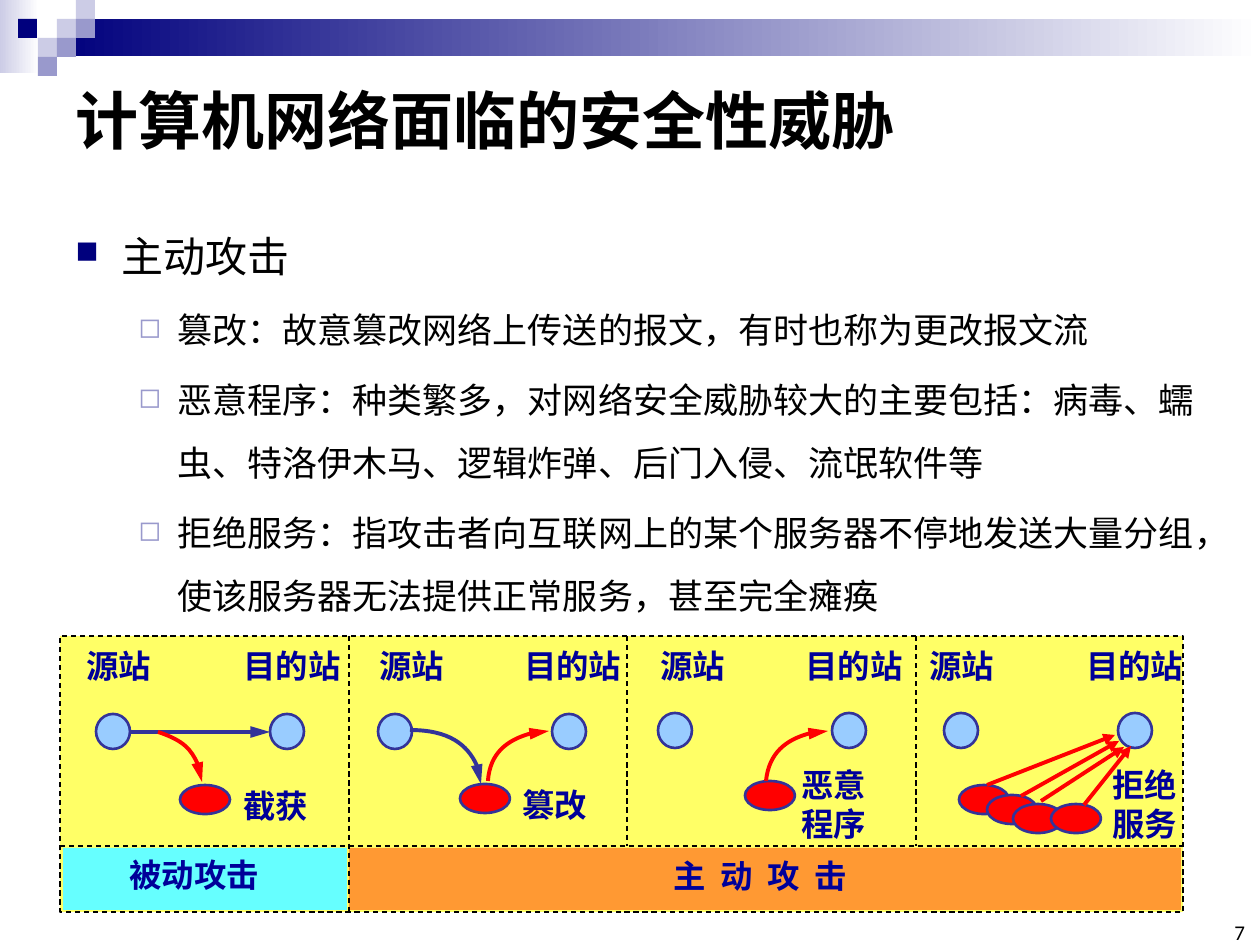
from dataclasses import dataclass

import pptx
import pptx.dml.color
import pptx.enum.dml
import pptx.enum.shapes
import pptx.enum.text
import pptx.oxml
import pptx.oxml.ns
import pptx.util

PX_PER_INCH = 126
FONT = "Calibri"
NAVY, LILAC, PALE = "00007D", "9999CC", "CCCCE6"
RED, INDIGO, LABEL_BLUE = "FF0000", "333399", "000099"
SHAPE = pptx.enum.shapes.MSO_SHAPE
ANCHOR = pptx.enum.text.MSO_ANCHOR
HOST_SIZE, ATTACKER_SIZE = (34, 35), (50, 29)

Point = tuple[int, int]


@dataclass
class Attack:
    """One panel: two hosts, their labels, the attackers and a caption."""
    host: Point
    label_lefts: Point
    attackers: list[Point]
    caption: list[str]
    caption_at: Point


@dataclass
class Arrow:
    points: list[Point]
    color: str = RED
    head_length: str = "lg"


ATTACKS = [
    Attack((96, 714), (74, 231), [(180, 785)], ["截获"], (231, 780)),
    Attack((378, 714), (367, 512), [(460, 784)], ["篡改"], (510, 779)),
    Attack((658, 713), (648, 793), [(745, 781)], ["恶意", "程序"], (789, 759)),
    Attack((944, 713), (917, 1074), [(959, 785), (987, 795), (1013, 804), (1051, 804)],
           ["拒绝", "服务"], (1100, 759)),
]
STRAIGHT_ARROWS = [
    Arrow([(130, 732), (270, 732)], INDIGO),
    Arrow([(987, 785), (1115, 735)], head_length="med"),
    Arrow([(1021, 796), (1119, 741)], head_length="med"),
    Arrow([(1041, 801), (1124, 747)], head_length="med"),
    Arrow([(1084, 805), (1131, 746)], head_length="med"),
]
CURVED_ARROWS = [
    Arrow([(158, 732), (185, 741), (202, 761), (202, 782)]),
    Arrow([(410, 730), (449, 730), (481, 753), (481, 784)], INDIGO),
    Arrow([(488, 781), (490, 753), (517, 731), (549, 731)]),
    Arrow([(766, 781), (769, 753), (795, 731), (828, 731)]),
]
BODY = [
    (0, "主动攻击"),
    (1, "篡改：故意篡改网络上传送的报文，有时也称为更改报文流"),
    (1, "恶意程序：种类繁多，对网络安全威胁较大的主要包括：病毒、蠕虫、特洛伊木马、逻辑炸弹、后门入侵、流氓软件等"),
    (1, "拒绝服务：指攻击者向互联网上的某个服务器不停地发送大量分组，使该服务器无法提供正常服务，甚至完全瘫痪"),
]
# size, space before, left margin px, hanging px, bullet, bullet colour, bullet percent
BODY_LEVELS = [(24, 5, 46, 46, "■", NAVY, 75), (20, 4, 102, 39, "◻", LILAC, 80)]


def px(length: int) -> int:
    return round(length * pptx.util.Inches(1) / PX_PER_INCH)


def rgb(color: str) -> pptx.dml.color.RGBColor:
    return pptx.dml.color.RGBColor.from_string(color)


def xml(tag: str, **attributes: str):
    element = pptx.oxml.parse_xml(f"<{tag} {pptx.oxml.ns.nsdecls('a')}/>")
    for name, value in attributes.items():
        element.set(name, value)
    return element


def add_run(paragraph, text: str, size: float, color: str = "000000", bold: bool = False) -> None:
    run = paragraph.add_run()
    run.text = text
    run.font.name, run.font.size, run.font.bold = FONT, pptx.util.Pt(size), bold
    run.font.color.rgb = rgb(color)


def style_line(line, color: str, width: float, dashed: bool = False) -> None:
    line.color.rgb = rgb(color)
    line.width = pptx.util.Pt(width)
    if dashed:
        line.dash_style = pptx.enum.dml.MSO_LINE.DASH


def add_block(slide, kind, at: Point, size: Point, fill: str, fade_to: str = ""):
    """Add a shape without outline, filled flat or fading left to right."""
    block = slide.shapes.add_shape(kind, *map(px, at + size))
    block.shadow.inherit = False
    block.line.fill.background()
    if fade_to:
        block.fill.gradient()
        block.fill.gradient_angle = 0
        for stop, color, position in zip(block.fill.gradient_stops, (fill, fade_to), (0, 1)):
            stop.color.rgb, stop.position = rgb(color), position
    else:
        block.fill.solid()
        block.fill.fore_color.rgb = rgb(fill)
    return block


def add_node(slide, at: Point, size: Point, fill: str) -> None:
    style_line(add_block(slide, SHAPE.OVAL, at, size, fill).line, INDIGO, 1.5)


def add_label(slide, lines: list[str], at: Point, size: Point) -> None:
    frame = slide.shapes.add_textbox(*map(px, at + size)).text_frame
    frame.word_wrap = False
    frame.auto_size = pptx.enum.text.MSO_AUTO_SIZE.SHAPE_TO_FIT_TEXT
    for index, line in enumerate(lines):
        paragraph = frame.add_paragraph() if index else frame.paragraphs[0]
        add_run(paragraph, line, 18.5, LABEL_BLUE, bold=True)


def add_line(slide, start: Point, end: Point):
    line = slide.shapes.add_connector(pptx.enum.shapes.MSO_CONNECTOR.STRAIGHT,
                                      *map(px, start + end))
    line._element.spPr.append(xml("a:effectLst"))
    return line


def add_divider(slide, start: Point, end: Point) -> None:
    style_line(add_line(slide, start, end).line, "000000", 0.75, dashed=True)


def add_curve(slide, points: list[Point]):
    """Add an open cubic curve through a start, two control points and an end."""
    builder = slide.shapes.build_freeform(*map(px, points[0]))
    builder.add_line_segments([tuple(map(px, point)) for point in points[1:]], close=False)
    curve = builder.convert_to_shape()
    curve.shadow.inherit = False
    curve.fill.background()
    segments = curve._element.findall(".//" + pptx.oxml.ns.qn("a:lnTo"))
    cubic = xml("a:cubicBezTo")
    segments[0].addprevious(cubic)
    for segment in segments:
        cubic.append(segment[0])
        segment.getparent().remove(segment)
    return curve


def finish_arrow(shape, arrow: Arrow) -> None:
    style_line(shape.line, arrow.color, 2.25)
    shape.line._get_or_add_ln().append(
        xml("a:tailEnd", type="triangle", w="med", len=arrow.head_length))


def add_banner(slide) -> None:
    add_block(slide, SHAPE.RECTANGLE, (0, 0), (39, 73), PALE, "FFFFFF")
    add_block(slide, SHAPE.RECTANGLE, (57, 19), (1203, 37), NAVY, "FFFFFF")
    for left, top, color in [(57, 19, PALE), (76, 0, PALE), (76, 19, LILAC), (38, 38, PALE),
                             (18, 19, NAVY), (57, 38, LILAC), (38, 57, LILAC)]:
        add_block(slide, SHAPE.RECTANGLE, (left, top), (19, 19), color)


def add_title(slide) -> None:
    title = slide.shapes.title
    title.left, title.top, title.width, title.height = map(px, (63, 63, 1134, 112))
    title.text_frame.vertical_anchor = ANCHOR.MIDDLE
    paragraph = title.text_frame.paragraphs[0]
    paragraph.alignment = pptx.enum.text.PP_ALIGN.LEFT
    add_run(paragraph, "计算机网络面临的安全性威胁", 36, bold=True)


def add_body(slide) -> None:
    frame = slide.shapes.add_textbox(*map(px, (63, 199, 1153, 416))).text_frame
    frame.word_wrap = True
    for index, (level, text) in enumerate(BODY):
        size, before, margin, hanging, bullet, color, percent = BODY_LEVELS[level]
        paragraph = frame.add_paragraph() if index else frame.paragraphs[0]
        paragraph.level, paragraph.line_spacing = level, 1.5
        paragraph.space_before = pptx.util.Pt(before)
        properties = paragraph._p.get_or_add_pPr()
        properties.set("marL", str(px(margin)))
        properties.set("indent", str(-px(hanging)))
        bullet_color = xml("a:buClr")
        bullet_color.append(xml("a:srgbClr", val=color))
        properties.extend([bullet_color, xml("a:buSzPct", val=str(percent * 1000)),
                           xml("a:buChar", char=bullet)])
        add_run(paragraph, text, size)


def add_diagram(slide) -> None:
    board = add_block(slide, SHAPE.RECTANGLE, (60, 636), (1123, 276), "FFFF66")
    style_line(board.line, "000000", 0.75, dashed=True)
    add_block(slide, SHAPE.RECTANGLE, (349, 848), (832, 62), "FF9933")
    add_block(slide, SHAPE.RECTANGLE, (63, 848), (284, 62), "66FFFF")
    for x, bottom in [(349, 912), (627, 846), (916, 846)]:
        add_divider(slide, (x, 636), (x, bottom))
    add_divider(slide, (60, 846), (1183, 846))
    add_label(slide, ["被动攻击"], (117, 849), (156, 52))
    add_label(slide, ["主  动  攻  击"], (661, 850), (200, 52))
    for attack in ATTACKS:
        left, top = attack.host
        for host_left in (left, left + 174):
            add_node(slide, (host_left, top), HOST_SIZE, "99CCFF")
        for name, label_left, width in zip(("源站", "目的站"), attack.label_lefts, (91, 123)):
            add_label(slide, [name], (label_left, 640), (width, 52))
        for attacker in attack.attackers:
            add_node(slide, attacker, ATTACKER_SIZE, RED)
        add_label(slide, attack.caption, attack.caption_at, (91, 13 + 39 * len(attack.caption)))
    for arrow in STRAIGHT_ARROWS:
        finish_arrow(add_line(slide, *arrow.points), arrow)
    for arrow in CURVED_ARROWS:
        finish_arrow(add_curve(slide, arrow.points), arrow)


def add_page_number(slide) -> None:
    frame = slide.shapes.add_textbox(*map(px, (1216, 924, 29, 21))).text_frame
    frame.margin_left = frame.margin_top = frame.margin_right = frame.margin_bottom = 0
    frame.vertical_anchor = ANCHOR.BOTTOM
    frame.word_wrap = True
    frame.paragraphs[0].alignment = pptx.enum.text.PP_ALIGN.RIGHT
    add_run(frame.paragraphs[0], "7", 12)


def main() -> None:
    deck = pptx.Presentation()
    deck.slide_width, deck.slide_height = px(1260), px(945)
    slide = deck.slides.add_slide(deck.slide_layouts.get_by_name("Title Only"))
    for add_part in (add_banner, add_title, add_body, add_page_number, add_diagram):
        add_part(slide)
    deck.save("out.pptx")


if __name__ == "__main__":
    main()
